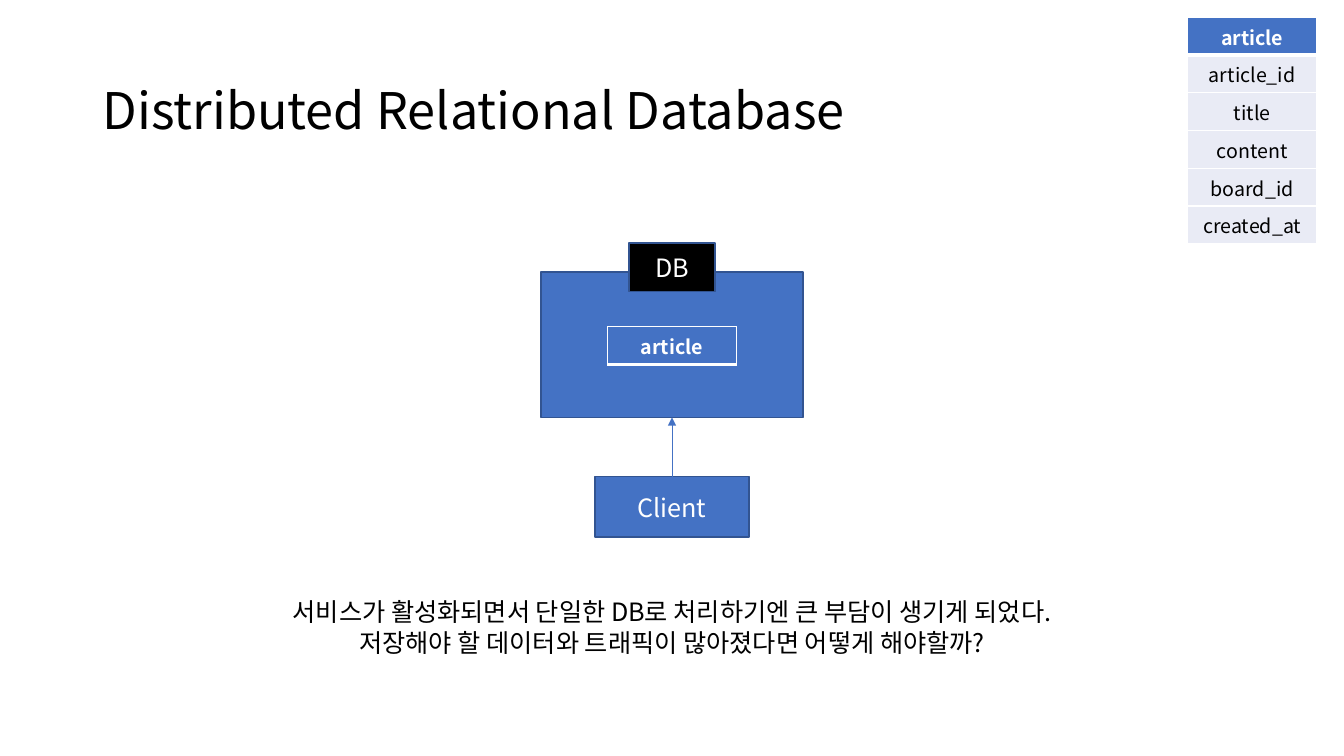
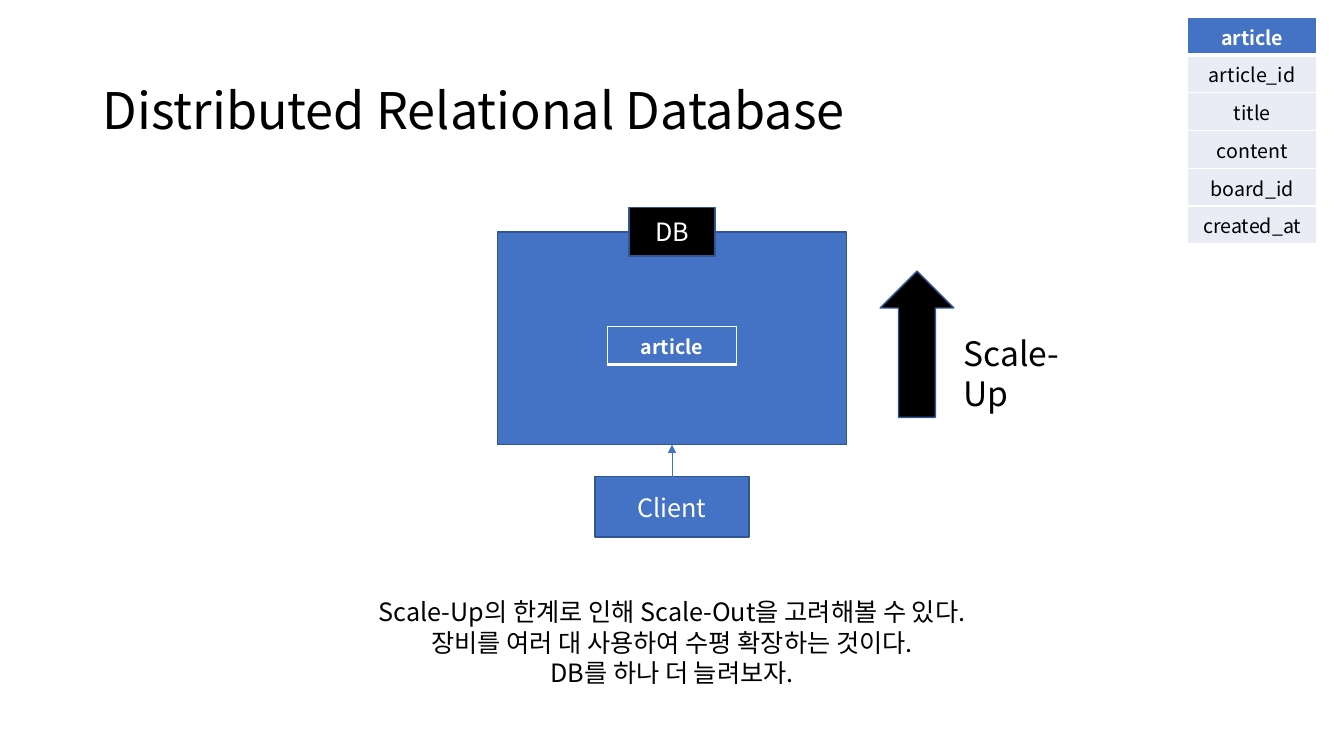
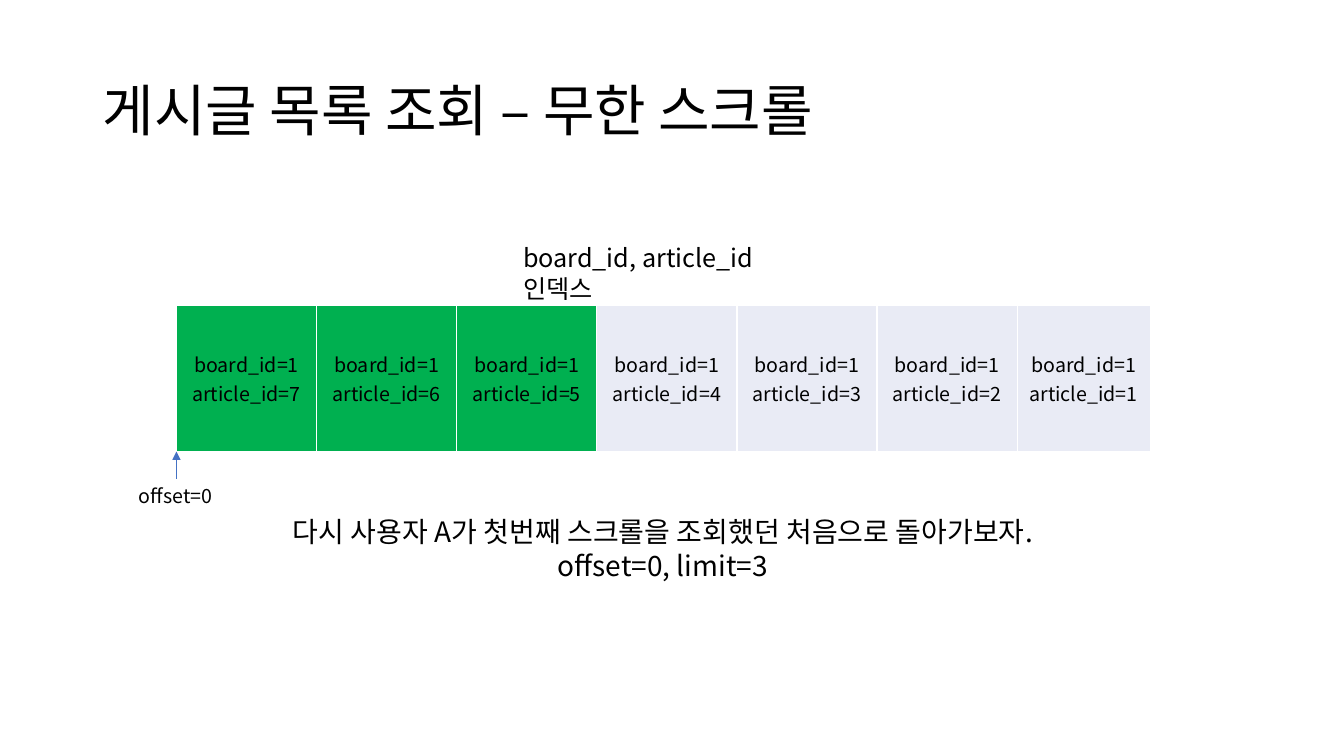
from dataclasses import dataclass

from lxml import etree
from pptx import Presentation
from pptx.dml.color import RGBColor
from pptx.enum import shapes, text
from pptx.oxml import ns
from pptx.util import Inches, Pt

# Shared style
FONT = "Noto Sans CJK KR"
BLACK, WHITE = "000000", "FFFFFF"
BLUE, EDGE = "4472C4", "325491"
PALE, GREEN = "E9EBF5", "00B050"
PAGE_W, PAGE_H = 13.33, 7.5
CELL_W, ROW_H = 1.28, 0.375
CLIENT_TOP = 4.73
LEFT, CENTER = text.PP_ALIGN.LEFT, text.PP_ALIGN.CENTER
TOP, MIDDLE = text.MSO_ANCHOR.TOP, text.MSO_ANCHOR.MIDDLE
RECT, UP_ARROW = shapes.MSO_SHAPE.RECTANGLE, shapes.MSO_SHAPE.UP_ARROW


@dataclass
class Area:
    left: float
    top: float
    width: float
    height: float

    def lengths(self):
        return [Inches(n) for n in (self.left, self.top, self.width, self.height)]


@dataclass
class Cell:
    words: str
    fill: str
    color: str = BLACK
    bold: bool = False
    top_line: float = 1
    bottom_line: float = 1


@dataclass
class Database:
    """A centred database box with the name tag on its upper edge."""
    top: float
    width: float
    height: float
    tag_top: float


HEADER = Cell("article", BLUE, WHITE, True, bottom_line=3)
FIELDS = ["article_id", "title", "content", "board_id", "created_at"]


def rgb(color: str) -> RGBColor:
    return RGBColor.from_string(color)


def centered(top: float, width: float, height: float) -> Area:
    return Area((PAGE_W - width) / 2, top, width, height)


def write(frame, words: str, size: float, color: str = BLACK,
          align=CENTER, bold: bool = False, spacing: float = 1) -> None:
    frame.text = words
    for para in frame.paragraphs:
        para.alignment = align
        para.line_spacing = spacing
        for span in para.runs:
            span.font.size = Pt(size)
            span.font.bold = bold
            span.font.name = FONT
            span.font.color.rgb = rgb(color)
            east_asian = etree.SubElement(span.font._element, ns.qn("a:ea"))
            east_asian.set("typeface", FONT)


# Drawing functions
def add_text(page, area: Area, words: str, size: float, align=LEFT,
             anchor=TOP, spacing: float = 1) -> None:
    box = page.shapes.add_textbox(*area.lengths())
    box.text_frame.word_wrap = True
    box.text_frame.vertical_anchor = anchor
    write(box.text_frame, words, size, align=align, spacing=spacing)


def add_block(page, area: Area, fill: str, words: str = "", kind=RECT) -> None:
    block = page.shapes.add_shape(kind, *area.lengths())
    block.shadow.inherit = False
    block.fill.solid()
    block.fill.fore_color.rgb = rgb(fill)
    block.line.color.rgb = rgb(EDGE)
    block.line.width = Pt(1)
    if words:
        block.text_frame.vertical_anchor = MIDDLE
        write(block.text_frame, words, 18, WHITE)


def add_up_line(page, x: float, start: float, end: float) -> None:
    line = page.shapes.add_connector(
        shapes.MSO_CONNECTOR.STRAIGHT,
        Inches(x), Inches(start), Inches(x), Inches(end))
    line.line.color.rgb = rgb(BLUE)
    line.line.width = Pt(0.5)
    outline = line.line._get_or_add_ln()
    etree.SubElement(outline, ns.qn("a:tailEnd")).set("type", "triangle")
    etree.SubElement(line._element.spPr, ns.qn("a:effectLst"))


def add_borders(cell, top: float, bottom: float) -> None:
    properties = cell._tc.get_or_add_tcPr()
    for side, width in (("L", 1), ("R", 1), ("T", top), ("B", bottom)):
        line = etree.SubElement(properties, ns.qn(f"a:ln{side}"), w=str(Pt(width)))
        fill = etree.SubElement(line, ns.qn("a:solidFill"))
        etree.SubElement(fill, ns.qn("a:srgbClr"), val=WHITE)


def add_grid(page, left: float, top: float, widths: list[float],
             row_height: float, rows: list[list[Cell]], anchor=TOP) -> None:
    area = Area(left, top, sum(widths), row_height * len(rows))
    table = page.shapes.add_table(len(rows), len(widths), *area.lengths()).table
    table.first_row = table.horz_banding = False
    for column, width in zip(table.columns, widths):
        column.width = Inches(width)
    for r, row in enumerate(rows):
        table.rows[r].height = Inches(row_height)
        for c, item in enumerate(row):
            cell = table.cell(r, c)
            add_borders(cell, item.top_line, item.bottom_line)
            cell.fill.solid()
            cell.fill.fore_color.rgb = rgb(item.fill)
            cell.vertical_anchor = anchor
            write(cell.text_frame, item.words, 14, item.color, bold=item.bold)


def add_page(deck, title: str, size: float):
    page = deck.slides.add_slide(deck.slide_layouts[6])
    add_text(page, Area(0.92, 0.4, 11.5, 1.45), title, size,
             anchor=MIDDLE, spacing=0.9)
    return page


def add_database_page(deck, database: Database, caption: str):
    page = add_page(deck, "Distributed Relational Database", 36)
    add_text(page, Area(0, 5.87, PAGE_W, 1.01), caption, 18, CENTER)
    # Database and client
    add_block(page, centered(database.top, database.width, database.height), BLUE)
    add_block(page, centered(CLIENT_TOP, 1.53, 0.6), BLUE, "Client")
    add_up_line(page, PAGE_W / 2, CLIENT_TOP, database.top + database.height)
    add_block(page, centered(database.tag_top, 0.85, 0.48), BLACK, "DB")
    add_grid(page, (PAGE_W - CELL_W) / 2, 3.24, [CELL_W], ROW_H, [[HEADER]])
    # Table schema in the corner
    fields = [[Cell(name, PALE, top_line=1 if i else 3)]
              for i, name in enumerate(FIELDS)]
    add_grid(page, 11.78, 0.17, [CELL_W], ROW_H, [[HEADER], *fields])
    return page


# Slides
def add_single_database(deck) -> None:
    add_database_page(
        deck, Database(2.7, 2.6, 1.44, 2.41),
        "서비스가 활성화되면서 단일한 DB로 처리하기엔 큰 부담이 생기게 되었다.\n"
        "저장해야 할 데이터와 트래픽이 많아졌다면 어떻게 해야할까?")


def add_scale_up(deck) -> None:
    page = add_database_page(
        deck, Database(2.3, 3.46, 2.11, 2.06),
        "Scale-Up의 한계로 인해 Scale-Out을 고려해볼 수 있다.\n"
        "장비를 여러 대 사용하여 수평 확장하는 것이다.\n"
        "DB를 하나 더 늘려보자.")
    add_block(page, Area(8.73, 2.69, 0.73, 1.45), BLACK, kind=UP_ARROW)
    add_text(page, Area(9.46, 3.25, 1.56, 0.9), "Scale-Up", 24)


def add_infinite_scroll(deck) -> None:
    page = add_page(deck, "게시글 목록 조회 – 무한 스크롤", 40)
    add_text(page, Area(5.09, 2.36, 3.2, 0.7), "board_id, article_id 인덱스", 18)
    add_text(page, Area(0, 5.06, 13.15, 0.77),
             "다시 사용자 A가 첫번째 스크롤을 조회했던 처음으로 돌아가보자.\n"
             "offset=0, limit=3", 20, CENTER)
    # Index entries, with the first three selected
    entries = [Cell(f"board_id=1\narticle_id={n}", GREEN if n > 4 else PALE)
               for n in range(7, 0, -1)]
    left, top, height = 1.75, 3.03, 1.45
    add_grid(page, left, top, [1.39] * 6 + [1.32], height, [entries], MIDDLE)
    # Offset marker
    add_up_line(page, left, 4.75, top + height)
    add_text(page, Area(1.28, 4.75, 1, 0.34), "offset=0", 14)


def main() -> None:
    deck = Presentation()
    deck.slide_width, deck.slide_height = Inches(PAGE_W), Inches(PAGE_H)
    add_single_database(deck)
    add_scale_up(deck)
    add_infinite_scroll(deck)
    deck.save("out.pptx")


if __name__ == "__main__":
    main()
